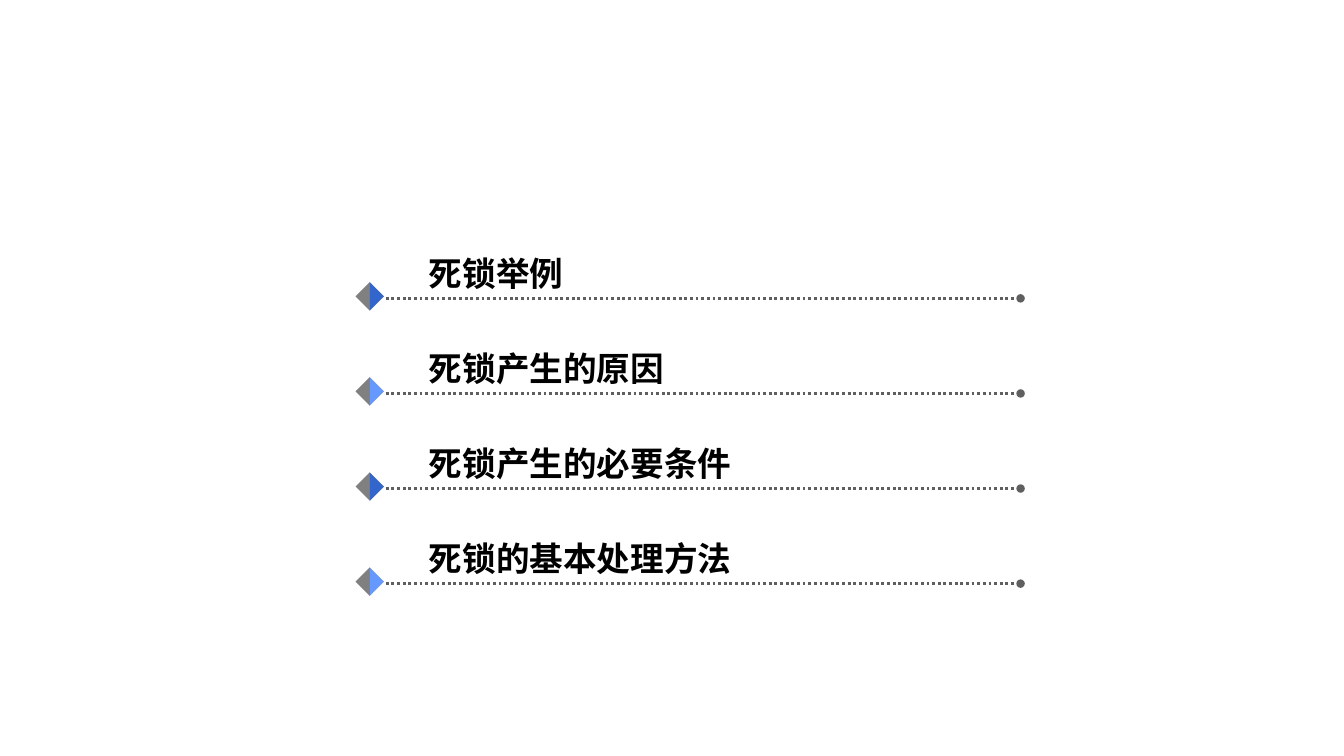
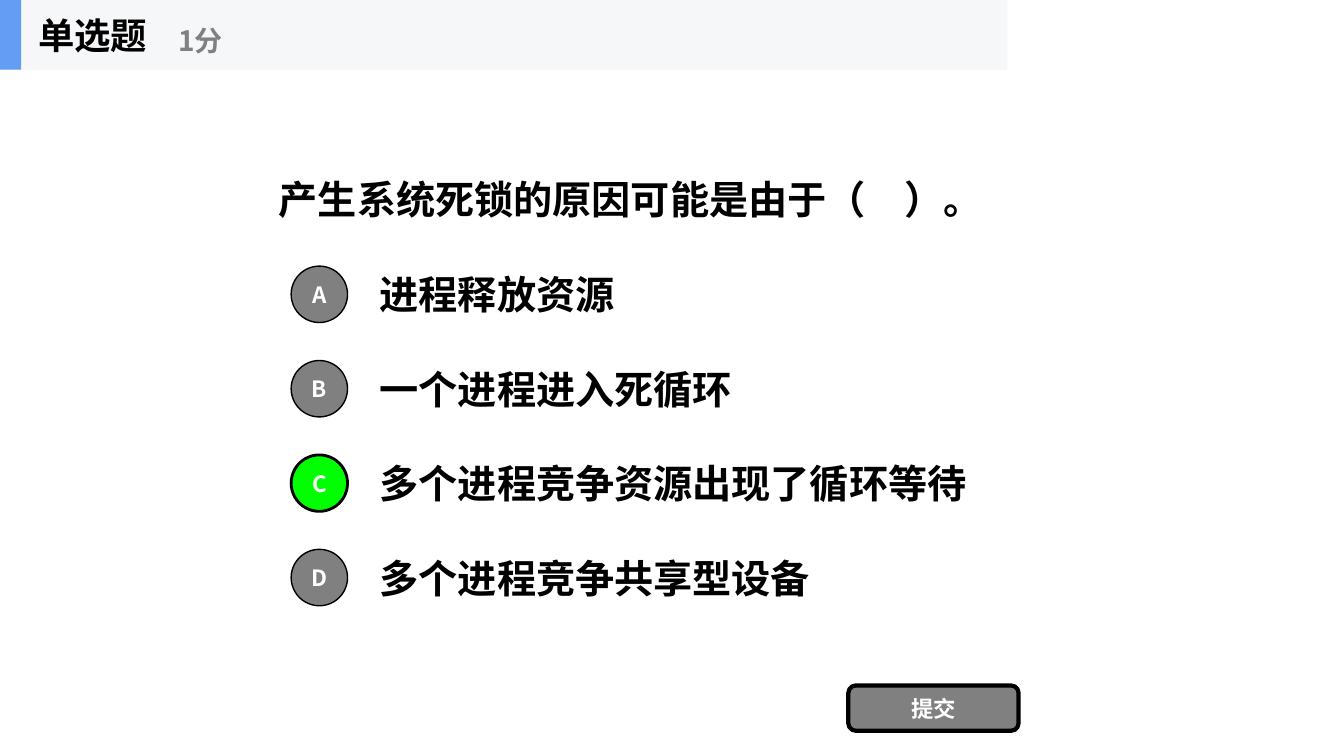
"""Build a deadlock agenda slide and a single-choice question slide."""
from lxml import etree
from pptx import Presentation
from pptx import util as u
from pptx.dml.color import RGBColor
from pptx.enum import dml, shapes, text
from pptx.oxml.ns import qn

BLACK, WHITE, GREY, DOT_GREY = "000000", "FFFFFF", "808080", "5F5F5F"
DARK_BLUE, LIGHT_BLUE, ACCENT, BAND, GREEN = "3366CC", "6699FF", "639EF4", "F6F7F8", "00FF00"
CJK = "Noto Sans CJK SC"


def block(slide, kind, box, fill, border=0):
    part = slide.shapes.add_shape(kind, *map(u.Inches, box))
    part.shadow.inherit = False
    part.fill.solid()
    part.fill.fore_color.rgb = RGBColor.from_string(fill)
    if border:
        part.line.color.rgb = RGBColor.from_string(BLACK)
        part.line.width = u.Pt(border)
    else:
        part.line.fill.background()
    return part


def write(part, wording, size, font=CJK, colour=BLACK, align=text.PP_ALIGN.LEFT,
          anchor=text.MSO_ANCHOR.MIDDLE):
    frame = part.text_frame
    frame.word_wrap = True
    frame.vertical_anchor = anchor
    frame.text = wording
    paragraph = frame.paragraphs[0]
    paragraph.alignment = align
    run = paragraph.runs[0]
    run.font.size, run.font.bold, run.font.name = u.Pt(size), True, font
    run.font.color.rgb = RGBColor.from_string(colour)
    etree.SubElement(run.font._element, qn("a:ea"), typeface=CJK)
    return paragraph


deck = Presentation()
deck.slide_width, deck.slide_height = u.Inches(13.34), u.Inches(7.5)
blank = deck.slide_layouts[6]

agenda = deck.slides.add_slide(blank)
topics = ["死锁举例", "死锁产生的原因", "死锁产生的必要条件", "死锁的基本处理方法"]
topic_step = 2.83 / 3
for i, topic in enumerate(topics):
    y = 2.96 + i * topic_step
    rule = agenda.shapes.add_connector(
        shapes.MSO_CONNECTOR.STRAIGHT, *map(u.Inches, (3.83, y, 10.13, y)))
    rule.line.color.rgb = RGBColor.from_string(DOT_GREY)
    rule.line.width = u.Pt(2)
    rule.line.dash_style = dml.MSO_LINE.ROUND_DOT
    etree.SubElement(rule.line._get_or_add_ln(), qn("a:tailEnd"), type="oval")
    etree.SubElement(rule._element.spPr, qn("a:effectLst"))
    for turn, fill in ((45, GREY), (225, (DARK_BLUE, LIGHT_BLUE)[i % 2])):
        half = block(agenda, shapes.MSO_SHAPE.RIGHT_TRIANGLE, (3.57, y - 0.12, 0.2, 0.2), fill)
        half.rotation = turn
    label = agenda.shapes.add_textbox(*map(u.Inches, (4.16, y - 0.5, 4.77, 0.5)))
    write(label, topic, 24, "Arial", anchor=text.MSO_ANCHOR.TOP)

quiz = deck.slides.add_slide(blank)
question = quiz.shapes.add_textbox(*map(u.Inches, (2.67, 0.69, 8, 2.34)))
write(question, "产生系统死锁的原因可能是由于（　）。", 28, "Times New Roman").line_spacing = 1.5

answers = ["进程释放资源", "一个进程进入死循环", "多个进程竞争资源出现了循环等待", "多个进程竞争共享型设备"]
correct = "C"
answer_step = 2.81 / 3
for i, (letter, answer) in enumerate(zip("ABCD", answers)):
    y = 2.57 + i * answer_step
    option = quiz.shapes.add_textbox(*map(u.Inches, (3.67, y, 7, 0.7)))
    write(option, answer, 28, "Times New Roman")
    fill, border = (GREEN, 2) if letter == correct else (GREY, 1)
    badge = block(quiz, shapes.MSO_SHAPE.OVAL, (2.89, y + 0.07, 0.56, 0.56), fill, border)
    write(badge, letter, 16, colour=WHITE, align=text.PP_ALIGN.CENTER)

submit = block(quiz, shapes.MSO_SHAPE.ROUNDED_RECTANGLE, (8.42, 6.8, 1.69, 0.45), GREY, 3)
write(submit, "提交", 16, colour=WHITE, align=text.PP_ALIGN.CENTER)

for width, fill in ((10, BAND), (0.21, ACCENT)):
    block(quiz, shapes.MSO_SHAPE.RECTANGLE, (0, 0, width, 0.69), fill)
for box, wording, size, colour in (((0.28, 0, 2.08, 0.69), "单选题", 26, BLACK),
                                   ((1.67, 0.12, 2.5, 0.56), "1分", 20, GREY)):
    heading = quiz.shapes.add_textbox(*map(u.Inches, box))
    write(heading, wording, size, colour=colour)

deck.save("out.pptx")
